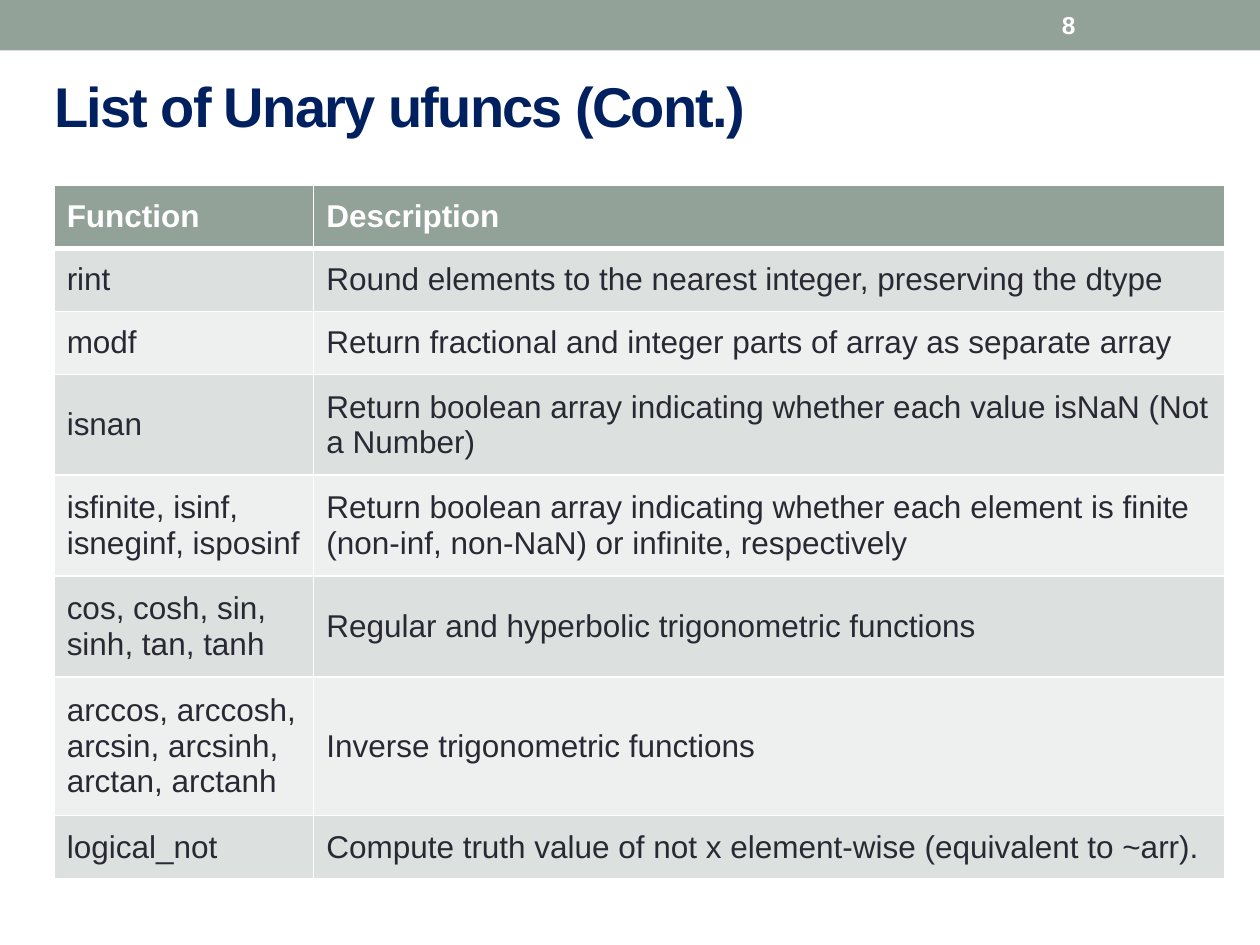
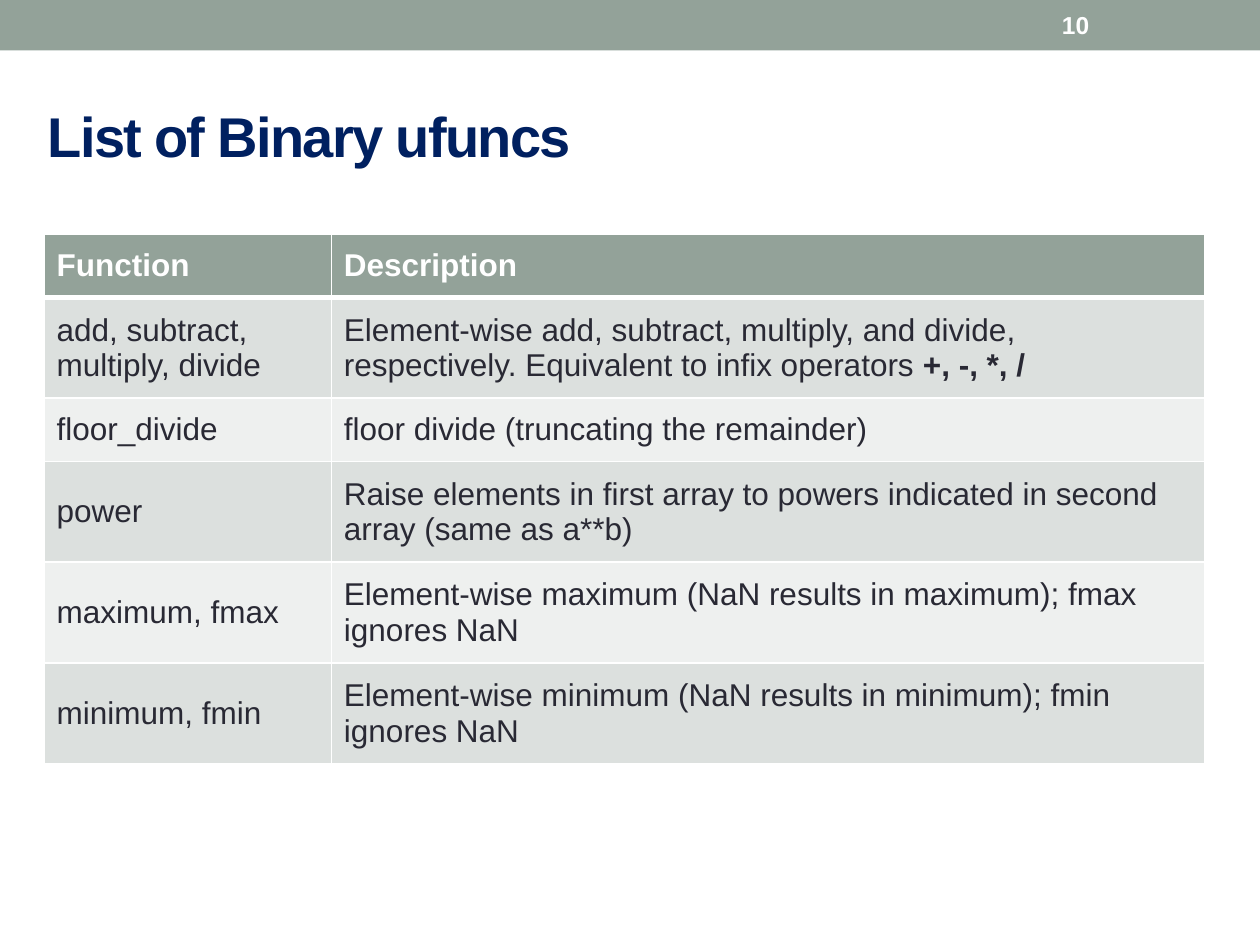
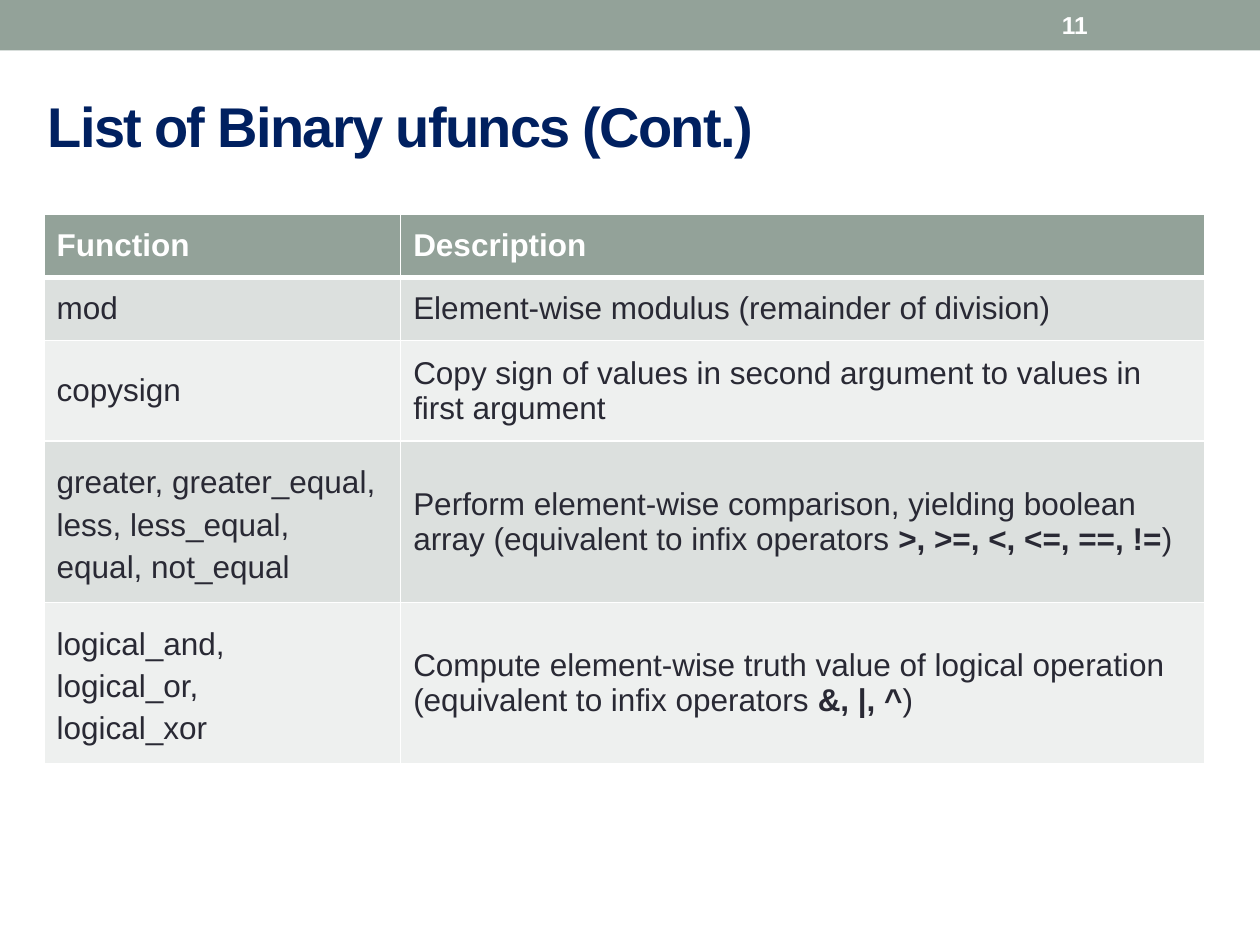
from dataclasses import dataclass

from lxml.etree import SubElement
from pptx import Presentation
from pptx.dml.color import RGBColor
from pptx.enum.shapes import MSO_SHAPE
from pptx.enum.text import MSO_ANCHOR, MSO_AUTO_SIZE, PP_ALIGN
from pptx.oxml.ns import qn
from pptx.util import Inches, Pt

FONT = "Arial"
SAGE = "93A299"
NAVY = "002060"
INK = "292934"
WHITE = "FFFFFF"
BAND_FILLS = ("DCE0DE", "EEF0EF")
HEADER = ("Function", "Description")
TITLE_ONLY = 5


@dataclass
class FunctionTable:
    left: float
    top: float
    height: float
    column_widths: tuple[float, float]
    row_heights: list[float]
    rows: list[tuple[str, str]]  # backticks enclose bold text


@dataclass
class FunctionPage:
    number: int
    title: str
    title_box: tuple[float, float, float, float]
    table: FunctionTable


PAGES = [
    FunctionPage(
        8, "List of Unary ufuncs (Cont.)", (0.33, 0.52, 9, 0.63),
        FunctionTable(0.43, 1.47, 5.57, (2.06, 7.23), [0.41] * 8, [
            ("rint", "Round elements to the nearest integer, preserving the dtype"),
            ("modf", "Return fractional and integer parts of array as separate array"),
            ("isnan", "Return boolean array indicating whether each value isNaN (Not a Number)"),
            ("isfinite, isinf, isneginf, isposinf",
             "Return boolean array indicating whether each element is finite "
             "(non-inf, non-NaN) or infinite, respectively"),
            ("cos, cosh, sin, sinh, tan, tanh",
             "Regular and hyperbolic trigonometric functions"),
            ("arccos, arccosh, arcsin, arcsinh, arctan, arctanh",
             "Inverse trigonometric functions"),
            ("logical_not",
             "Compute truth value of not x element-wise (equivalent to ~arr)."),
        ])),
    FunctionPage(
        10, "List of Binary ufuncs", (0.28, 0.68, 9, 0.79),
        FunctionTable(0.35, 1.86, 4.25, (2.28, 6.93), [0.42] + [0.4] * 5, [
            ("add, subtract, multiply, divide",
             "Element-wise add, subtract, multiply, and divide, respectively. "
             "Equivalent to infix operators `+, -, *, /`"),
            ("floor_divide", "floor divide (truncating the remainder)"),
            ("power",
             "Raise elements in first array to powers indicated in second array "
             "(same as a**b)"),
            ("maximum, fmax",
             "Element-wise maximum (NaN results in maximum); fmax ignores NaN"),
            ("minimum, fmin",
             "Element-wise minimum (NaN results in minimum); fmin ignores NaN"),
        ])),
    FunctionPage(
        11, "List of Binary ufuncs (Cont.)", (0.28, 0.6, 9, 0.79),
        FunctionTable(0.35, 1.7, 4.4, (2.83, 6.38), [0.42, 0.4, 0.4, 0.84, 0.62], [
            ("mod", "Element-wise modulus (remainder of division)"),
            ("copysign",
             "Copy sign of values in second argument to values in first argument"),
            ("greater, greater_equal, less, less_equal,\nequal, not_equal",
             "Perform element-wise comparison, yielding boolean array "
             "(equivalent to infix operators `>, >=, <, <=, ==, !=`)"),
            ("logical_and,\nlogical_or,\nlogical_xor",
             "Compute element-wise truth value of logical operation "
             "(equivalent to infix operators `&, |, ^`)"),
        ])),
]


def rgb(value: str) -> RGBColor:
    return RGBColor.from_string(value)


def style_font(font, size: float, color: str, bold: bool) -> None:
    font.name = FONT
    font.size = Pt(size)
    font.bold = bold
    font.color.rgb = rgb(color)


def write_spans(para, text: str) -> None:
    """Add the text to the paragraph, with the parts in backticks bold."""
    for index, part in enumerate(text.split("`")):
        if part:
            span = para.add_run()
            span.text = part
            if index % 2:
                span.font.bold = True


def add_border(cell, side: str, points: float) -> None:
    line = SubElement(cell._tc.get_or_add_tcPr(), qn(f"a:ln{side}"), w=str(Pt(points)))
    fill = SubElement(line, qn("a:solidFill"))
    SubElement(fill, qn("a:srgbClr"), val=WHITE)


def fill_cell(cell, text: str, row: int) -> None:
    is_header = row == 0
    # Borders: a thick rule lies between the header and the body
    add_border(cell, "L", 1)
    add_border(cell, "R", 1)
    add_border(cell, "T", 3 if row == 1 else 1)
    add_border(cell, "B", 3 if is_header else 1)
    cell.fill.solid()
    cell.fill.fore_color.rgb = rgb(SAGE if is_header else BAND_FILLS[(row - 1) % 2])
    cell.vertical_anchor = MSO_ANCHOR.MIDDLE
    cell.margin_left = cell.margin_right = Inches(0.1)
    cell.margin_top = cell.margin_bottom = Inches(0.1)
    # Text
    lines = text.split("\n")
    for index, line in enumerate(lines):
        para = cell.text_frame.add_paragraph() if index else cell.text_frame.paragraphs[0]
        if len(lines) > 1:
            para.line_spacing = 1.2
        style_font(para.font, 18, WHITE if is_header else INK, is_header)
        write_spans(para, line)


def add_function_table(page, spec_table: FunctionTable) -> None:
    rows = [HEADER, *spec_table.rows]
    frame = page.shapes.add_table(
        len(rows), len(HEADER), Inches(spec_table.left), Inches(spec_table.top),
        Inches(sum(spec_table.column_widths)), Inches(spec_table.height))
    table = frame.table
    table.first_row = table.horz_banding = False
    for column, width in zip(table.columns, spec_table.column_widths):
        column.width = Inches(width)
    for row, height in zip(table.rows, spec_table.row_heights):
        row.height = Inches(height)
    frame.height = Inches(spec_table.height)
    for row_index, texts in enumerate(rows):
        for column_index, text in enumerate(texts):
            fill_cell(table.cell(row_index, column_index), text, row_index)


def add_band(page, number: int) -> None:
    """Draw the top band and its page number."""
    band = page.shapes.add_shape(MSO_SHAPE.RECTANGLE, 0, 0, Inches(10), Inches(0.4))
    band.shadow.inherit = False
    band.fill.solid()
    band.fill.fore_color.rgb = rgb(SAGE)
    band.line.fill.background()
    box = page.shapes.add_textbox(Inches(8.33), Inches(0.02), Inches(1.17), Inches(0.36))
    box.text_frame.word_wrap = True
    box.text_frame.vertical_anchor = MSO_ANCHOR.MIDDLE
    para = box.text_frame.paragraphs[0]
    style_font(para.font, 14, WHITE, True)
    para.add_run().text = str(number)


def set_title(page, text: str, box: tuple[float, float, float, float]) -> None:
    title = page.shapes.title
    title.left, title.top, title.width, title.height = map(Inches, box)
    title.text_frame.auto_size = MSO_AUTO_SIZE.NONE
    title.text_frame.vertical_anchor = MSO_ANCHOR.MIDDLE
    para = title.text_frame.paragraphs[0]
    para.alignment = PP_ALIGN.LEFT
    style_font(para.font, 32, NAVY, True)
    span = para.add_run()
    span.text = text
    span._r.get_or_add_rPr().set("spc", "-100")  # tighten by one point


def main() -> None:
    deck = Presentation()
    deck.slide_width, deck.slide_height = Inches(10), Inches(7.5)
    for content in PAGES:
        page = deck.slides.add_slide(deck.slide_layouts[TITLE_ONLY])
        add_band(page, content.number)
        set_title(page, content.title, content.title_box)
        add_function_table(page, content.table)
    deck.save("out.pptx")


if __name__ == "__main__":
    main()
